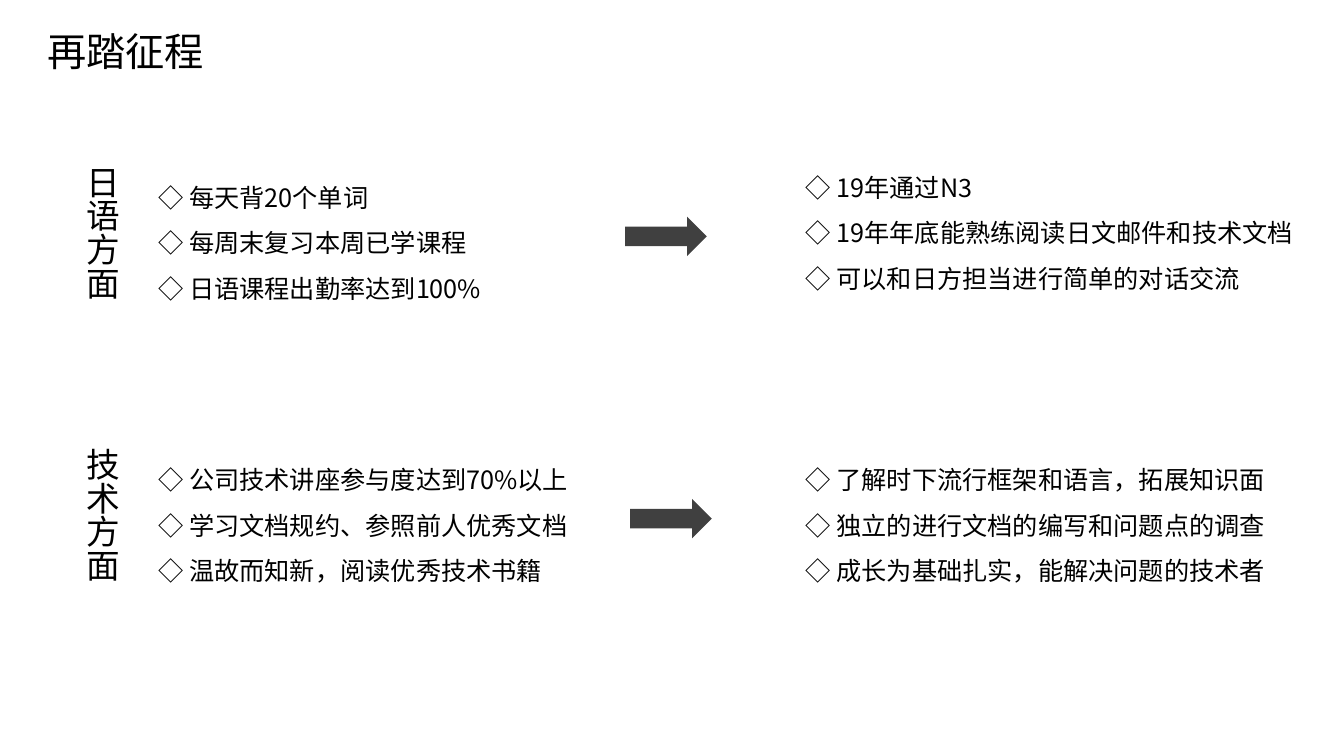
from lxml import etree
from pptx import Presentation
from pptx.dml.color import RGBColor
from pptx.enum import shapes, text
from pptx.oxml import ns
from pptx.util import Inches, Pt

HUES = {"ink": "000000", "arrow": "404040"}
SANS = "Noto Sans CJK SC"
MONO = "Courier New"


def place(shape, box):
    """Move a shape to a box of left, top, width and height in inches."""
    shape.left, shape.top, shape.width, shape.height = map(Inches, box)


def shade(run):
    """Give the letters of a run a soft shadow."""
    fx = etree.Element(ns.qn("a:effectLst"))
    cast = etree.SubElement(fx, ns.qn("a:outerShdw"), blurRad="38100",
                            dist="19050", dir="2700000", algn="tl")
    hue = etree.SubElement(cast, ns.qn("a:srgbClr"), val=HUES["ink"])
    etree.SubElement(hue, ns.qn("a:alpha"), val="40000")
    run.font._element.find(ns.qn("a:solidFill")).addnext(fx)


def write(shape, lines, size=18, font=SANS, align=text.PP_ALIGN.LEFT,
          anchor=text.MSO_ANCHOR.TOP, gap=1.0, wrap=True, shadow=False):
    """Fill a shape with formatted lines, one paragraph each."""
    frame = shape.text_frame
    frame.text = "\n".join(lines)
    frame.auto_size = text.MSO_AUTO_SIZE.NONE
    frame.word_wrap = wrap
    frame.vertical_anchor = anchor
    for para in frame.paragraphs:
        para.alignment = align
        para.line_spacing = gap
        para.space_before = para.space_after = Pt(0)
        props = para._p.get_or_add_pPr()
        props.set("marL", "0")
        props.set("indent", "0")
        etree.SubElement(props, ns.qn("a:buNone"))
        run = para.runs[0]
        run.font.size = Pt(size)
        run.font.bold = False
        run.font.name = font
        run.font.color.rgb = RGBColor.from_string(HUES["ink"])
        east = etree.Element(ns.qn("a:ea"), typeface=font)
        run.font._element.find(ns.qn("a:latin")).addnext(east)
        if shadow:
            shade(run)


def add_label(slide, box, words):
    """Add a vertical heading."""
    label = slide.shapes.add_shape(shapes.MSO_SHAPE.ROUNDED_RECTANGLE, 0, 0, 0, 0)
    place(label, box)
    label.shadow.inherit = False
    label.fill.background()
    label.line.fill.background()
    write(label, [words], size=24, align=text.PP_ALIGN.CENTER,
          anchor=text.MSO_ANCHOR.MIDDLE, wrap=False, shadow=True)
    label.text_frame._txBody.bodyPr.set("vert", "eaVert")


def add_arrow(slide, box):
    """Add an arrow from plan to goal."""
    arrow = slide.shapes.add_shape(shapes.MSO_SHAPE.RIGHT_ARROW, 0, 0, 0, 0)
    place(arrow, box)
    arrow.shadow.inherit = False
    arrow.fill.solid()
    arrow.fill.fore_color.rgb = RGBColor.from_string(HUES["arrow"])
    arrow.line.fill.background()


def add_list(holder, box, items):
    """Place a list of diamond items in a body placeholder."""
    place(holder, box)
    write(holder, [f"◇ {item}" for item in items], gap=1.5)


def add_row(slide, box, holders, topic, plans, goals, rise=0, push=0):
    """Add one topic: heading, plans, arrow and goals."""
    left, top, width, height = box
    add_label(slide, (left, top - 0.1, 0.72, 1.65), topic)
    add_list(holders[0], (left + 0.82, top, 4.58, height), plans)
    add_arrow(slide, (left + 5.55 + push, top + 0.54, 0.81, 0.39))
    add_list(holders[1], (left + 7.24, top - rise, width - 7.24, height), goals)


def add_title(slide, box, words):
    """Place the slide title."""
    place(slide.shapes.title, box)
    write(slide.shapes.title, [words], size=28, font=MONO, wrap=False)


def main():
    """Build and save the slide."""
    deck = Presentation()
    deck.slide_width, deck.slide_height = Inches(13.33), Inches(7.5)
    slide = deck.slides.add_slide(deck.slide_layouts[4])
    bodies = [slide.placeholders[i] for i in range(1, 5)]
    add_title(slide, (0.37, 0.22, 1.77, 0.57), "再踏征程")
    add_row(slide, (0.65, 1.61, 12.49, 1.46), bodies[:2], "日语方面",
            ["每天背20个单词", "每周末复习本周已学课程", "日语课程出勤率达到100%"],
            ["19年通过N3", "19年年底能熟练阅读日文邮件和技术文档",
             "可以和日方担当进行简单的对话交流"], rise=0.1)
    add_row(slide, (0.65, 4.41, 12.49, 1.46), bodies[2:], "技术方面",
            ["公司技术讲座参与度达到70%以上", "学习文档规约、参照前人优秀文档",
             "温故而知新，阅读优秀技术书籍"],
            ["了解时下流行框架和语言，拓展知识面",
             "独立的进行文档的编写和问题点的调查",
             "成长为基础扎实，能解决问题的技术者"], push=0.05)
    deck.save("out.pptx")


if __name__ == "__main__":
    main()
